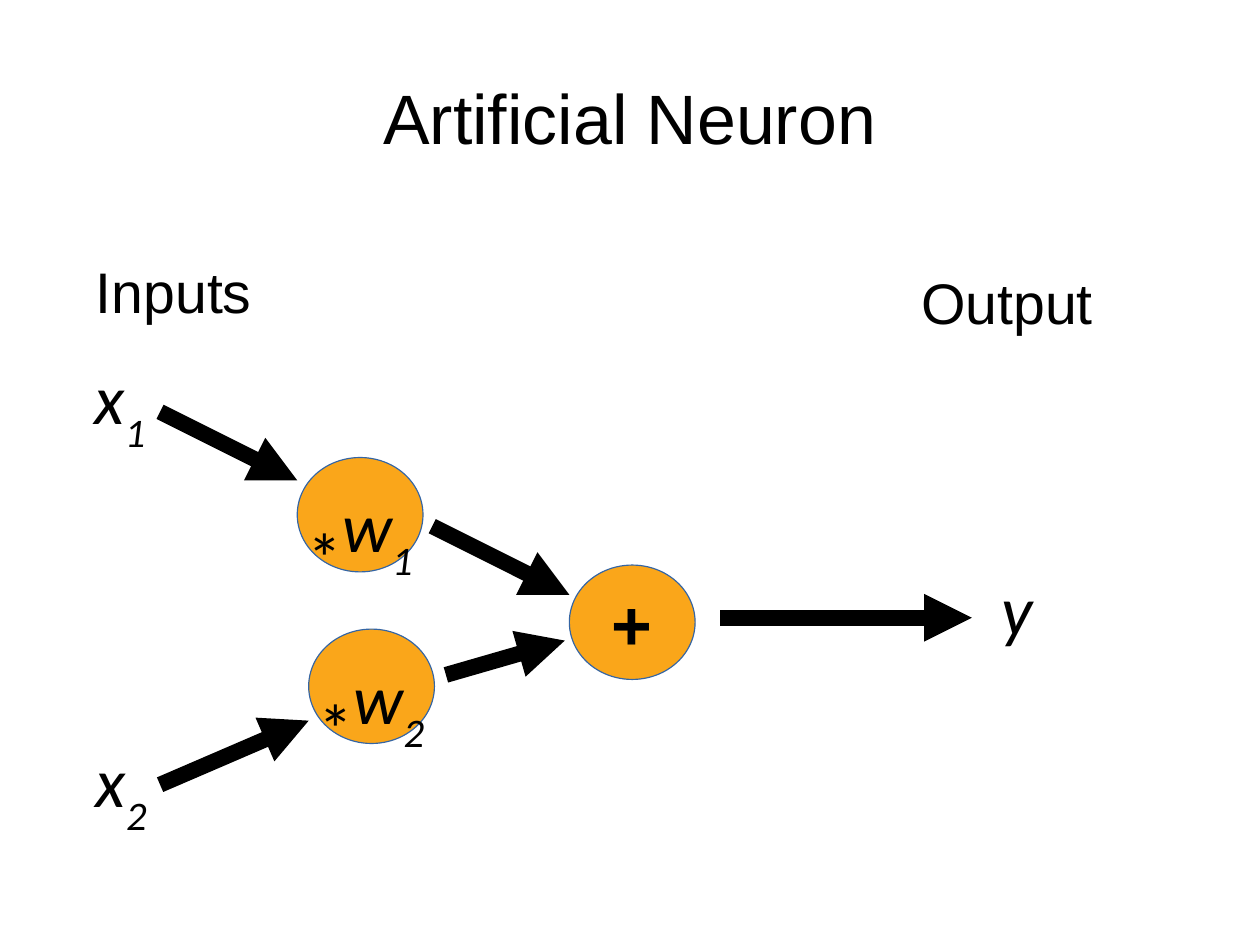
"""Draw a slide of an artificial neuron with two weighted inputs and one output."""
from dataclasses import dataclass
from typing import NamedTuple

from lxml.etree import SubElement
from pptx import Presentation
from pptx.dml.color import RGBColor
from pptx.enum.shapes import MSO_CONNECTOR, MSO_SHAPE
from pptx.enum.text import MSO_ANCHOR, PP_ALIGN
from pptx.oxml.ns import qn
from pptx.shapes.autoshape import Shape
from pptx.slide import Slide
from pptx.util import Inches, Pt

COLS, ROWS = 110.2, 82.7
WIDTH, HEIGHT = Inches(11.02), Inches(8.27)


@dataclass(frozen=True)
class Theme:
    """Hold the colours, fonts and point sizes of the slide."""
    ink: RGBColor = RGBColor(0x00, 0x00, 0x00)
    disc: RGBColor = RGBColor(0xFA, 0xA6, 0x1A)
    rim: RGBColor = RGBColor(0x34, 0x65, 0xA4)
    plain: str = "Arial"
    script: str = "Calibri"
    large: float = 44
    small: float = 36
    star: float = 75.9
    stroke: float = 10


THEME = Theme()


class Piece(NamedTuple):
    """Describe one run of text."""
    text: str
    font: str = THEME.script
    size: float = THEME.large
    bold: bool = False
    slant: bool = False
    shift: int = 0


class Label(NamedTuple):
    """Place a text box on the grid."""
    col: float
    row: float
    wide: float
    high: float
    words: list[Piece]


class Node(NamedTuple):
    """Place a round node on the grid."""
    col: float
    row: float
    words: list[Piece]


class Arrow(NamedTuple):
    """Join two grid points."""
    col: float
    row: float
    to_col: float
    to_row: float


def across(cols: float) -> int:
    """Turn grid columns into a length."""
    return round(WIDTH * cols / COLS)


def down(rows: float) -> int:
    """Turn grid rows into a length."""
    return round(HEIGHT * rows / ROWS)


def symbol(name: str, index: str = "") -> list[Piece]:
    """Spell a variable with its index."""
    words = [Piece(name, slant=True)]
    if index:
        words.append(Piece(index, slant=True, shift=-33))
    return words


def weight(index: str) -> list[Piece]:
    """Spell the product with one weight."""
    return [Piece("*", size=THEME.star, shift=-25), *symbol("w", index)]


def write(shape: Shape, words: list[Piece], *, align: PP_ALIGN = PP_ALIGN.LEFT,
          anchor: MSO_ANCHOR = MSO_ANCHOR.TOP, wrap: bool = True,
          inset: float = 1) -> None:
    """Fill a shape with one formatted paragraph."""
    frame = shape.text_frame
    frame.word_wrap = wrap
    frame.vertical_anchor = anchor
    frame.margin_left = frame.margin_right = across(inset)
    frame.margin_top = frame.margin_bottom = down(inset / 2)
    para = frame.paragraphs[0]
    para.alignment = align
    for piece in words:
        run = para.add_run()
        run.text = piece.text
        font = run.font
        font.name, font.size = piece.font, Pt(piece.size)
        font.bold, font.italic = piece.bold, piece.slant
        font.color.rgb = THEME.ink
        if piece.shift:
            run._r.get_or_add_rPr().set("baseline", str(piece.shift * 1000))


def draw_label(slide: Slide, label: Label, **form) -> None:
    """Add a text box."""
    box = slide.shapes.add_textbox(across(label.col), down(label.row),
                                   across(label.wide), down(label.high))
    write(box, label.words, **form)


def draw_node(slide: Slide, node: Node) -> None:
    """Add a round node with centred text."""
    disc = slide.shapes.add_shape(MSO_SHAPE.OVAL, across(node.col),
                                  down(node.row), across(11), down(10))
    disc.shadow.inherit = False
    disc.fill.solid()
    disc.fill.fore_color.rgb = THEME.disc
    disc.line.color.rgb = THEME.rim
    disc.line.width = 0
    write(disc, node.words, align=PP_ALIGN.CENTER,
          anchor=MSO_ANCHOR.MIDDLE, wrap=False)


def draw_arrow(slide: Slide, arrow: Arrow) -> None:
    """Add a thick line with a head at its end."""
    line = slide.shapes.add_connector(
        MSO_CONNECTOR.STRAIGHT, across(arrow.col), down(arrow.row),
        across(arrow.to_col), down(arrow.to_row))
    line.line.color.rgb = THEME.ink
    line.line.width = Pt(THEME.stroke)
    props = line._element.spPr
    SubElement(props.find(qn("a:ln")), qn("a:tailEnd"), type="triangle")
    SubElement(props, qn("a:effectLst"))


TITLE = Label(5.5, 3.3, 99.2, 13.8, [Piece("Artificial Neuron", THEME.plain)])
LABELS = [
    Label(7.4, 21.9, 22.6, 8.1, [Piece("Inputs", THEME.plain, THEME.small)]),
    Label(79.6, 22.9, 18.4, 11.1, [Piece("Output", THEME.plain, THEME.small)]),
    Label(7.3, 30.5, 13.7, 14.5, symbol("x", "1")),
    Label(7.4, 64, 9.5, 16.4, symbol("x", "2")),
    Label(86.6, 49, 6.4, 11, symbol("y")),
]
NODES = [
    Node(26, 40, weight("1")),
    Node(27, 55, weight("2")),
    Node(49.8, 49.4, [Piece("+", THEME.plain, bold=True)]),
]
ARROWS = [
    Arrow(14, 36, 26, 42),
    Arrow(14, 68.6, 27, 63),
    Arrow(37.8, 46, 49.8, 52),
    Arrow(39, 59, 49.4, 56),
    Arrow(63, 54, 85, 54),
]


def main() -> None:
    """Build and save the slide."""
    deck = Presentation()
    deck.slide_width, deck.slide_height = WIDTH, HEIGHT
    slide = deck.slides.add_slide(deck.slide_layouts[6])
    draw_label(slide, TITLE, align=PP_ALIGN.CENTER,
               anchor=MSO_ANCHOR.MIDDLE, inset=0)
    for label in LABELS:
        draw_label(slide, label)
    for node in NODES:
        draw_node(slide, node)
    for arrow in ARROWS:
        draw_arrow(slide, arrow)
    deck.save("out.pptx")


if __name__ == "__main__":
    main()
